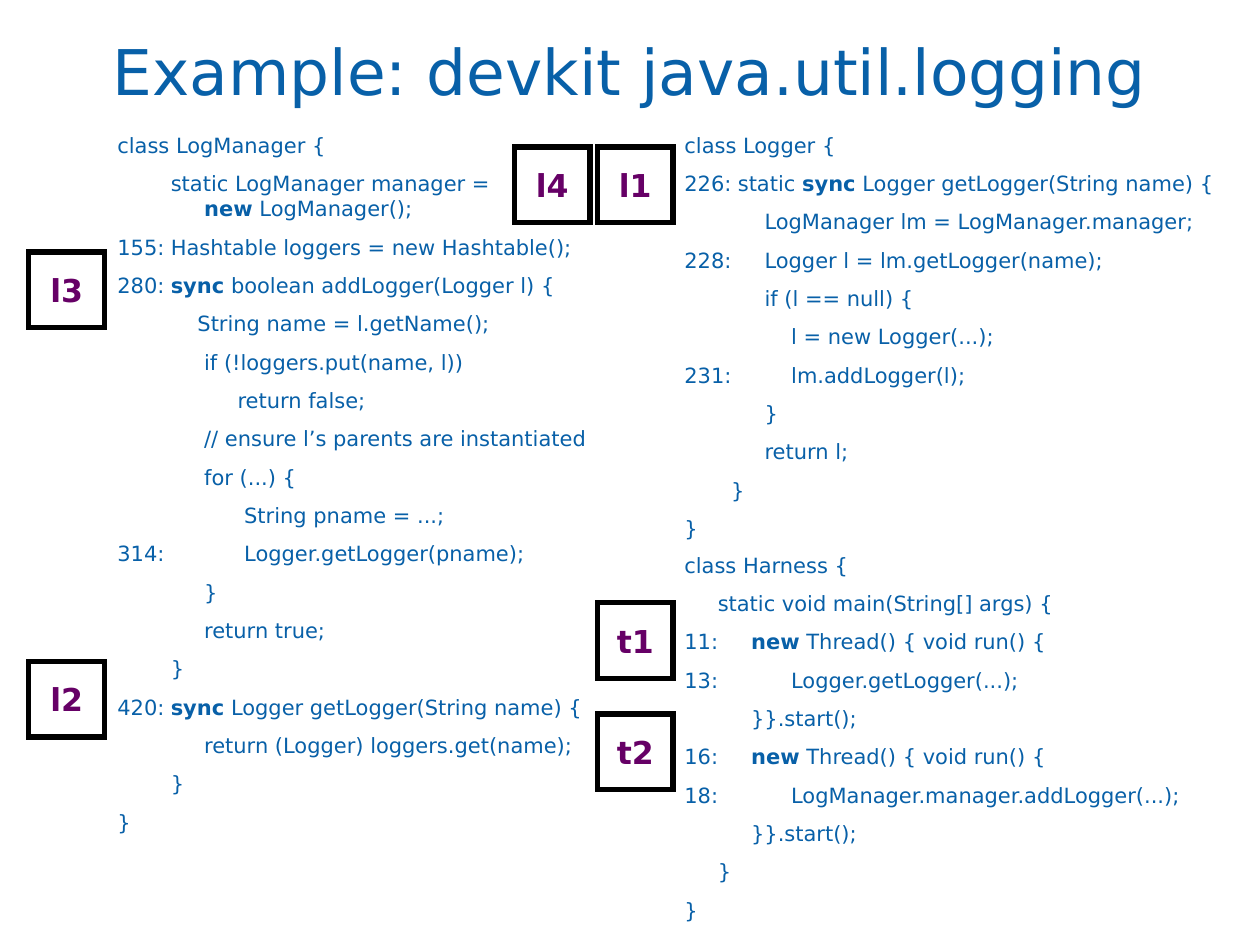
from lxml import etree
from pptx import Presentation
from pptx import util as u
from pptx.dml.color import RGBColor
from pptx.enum import shapes, text
from pptx.oxml.ns import qn

COLORS = {"code": "0860A8", "marker": "660066", "border": "000000"}
FONT = "DejaVu Sans"
CELL = u.Inches(1 / 12)
CHAR = u.Pt(3.815)
HANG = 5
MARKER = 7.2

LOG_MANAGER = [
    ("", 0, "class LogManager {"),
    ("", 8, "static LogManager manager =\n*new* LogManager();"),
    ("155:", 8, "Hashtable loggers = new Hashtable();"),
    ("280:", 8, "*sync* boolean addLogger(Logger l) {"),
    ("", 12, "String name = l.getName();"),
    ("", 13, "if (!loggers.put(name, l))"),
    ("", 18, "return false;"),
    ("", 13, "// ensure l’s parents are instantiated"),
    ("", 13, "for (...) {"),
    ("", 19, "String pname = ...;"),
    ("314:", 19, "Logger.getLogger(pname);"),
    ("", 13, "}"),
    ("", 13, "return true;"),
    ("", 8, "}"),
    ("420:", 8, "*sync* Logger getLogger(String name) {"),
    ("", 13, "return (Logger) loggers.get(name);"),
    ("", 8, "}"),
    ("", 0, "}"),
]
LOGGER = [
    ("", 0, "class Logger {"),
    ("226:", 8, "static *sync* Logger getLogger(String name) {"),
    ("", 12, "LogManager lm = LogManager.manager;"),
    ("228:", 12, "Logger l = lm.getLogger(name);"),
    ("", 12, "if (l == null) {"),
    ("", 16, "l = new Logger(...);"),
    ("231:", 16, "lm.addLogger(l);"),
    ("", 12, "}"),
    ("", 12, "return l;"),
    ("", 7, "}"),
    ("", 0, "}"),
]
HARNESS = [
    ("", 0, "class Harness {"),
    ("", 5, "static void main(String[] args) {"),
    ("11:", 10, "*new* Thread() { void run() {"),
    ("13:", 16, "Logger.getLogger(...);"),
    ("", 10, "}}.start();"),
    ("16:", 10, "*new* Thread() { void run() {"),
    ("18:", 16, "LogManager.manager.addLogger(...);"),
    ("", 10, "}}.start();"),
    ("", 5, "}"),
    ("", 0, "}"),
]
LISTINGS = [
    ((10, 12, 67, 68.2), LOG_MANAGER),
    ((64, 12, 74, 40.2), LOGGER),
    ((64, 52, 78, 36.5), HARNESS),
]
MARKERS = [
    ("t1", 56.9, 57.4), ("t2", 56.9, 68), ("l4", 49, 14),
    ("l2", 2.75, 63), ("l3", 2.75, 24), ("l1", 56.9, 14),
]


def cells(*counts):
    """Turn grid counts into lengths."""
    return [u.Emu(round(count * CELL)) for count in counts]


def style(paragraph, size, color, bold=None):
    """Give a paragraph its font."""
    font = paragraph.font
    font.name, font.size, font.bold = FONT, u.Pt(size), bold
    font.color.rgb = RGBColor.from_string(COLORS[color])


def place_title(slide, box, wording):
    """Place the title in its box."""
    title = slide.shapes.title
    title.left, title.top, title.width, title.height = cells(*box)
    frame = title.text_frame
    frame.text = wording
    frame.vertical_anchor = text.MSO_ANCHOR.MIDDLE
    frame.paragraphs[0].alignment = text.PP_ALIGN.CENTER
    style(frame.paragraphs[0], 36, "code")


def indent_line(paragraph, number, column):
    """Start the code at a column, after a tab if the line is numbered."""
    props = paragraph._p.get_or_add_pPr()
    if number:
        tabs = etree.SubElement(props, qn("a:tabLst"))
        etree.SubElement(tabs, qn("a:tab"), pos=str(round(column * CHAR)), algn="l")
    else:
        props.set("marL", str(round((column + HANG) * CHAR)))
        props.set("indent", str(round(-HANG * CHAR)))


def write_line(paragraph, number, column, code):
    """Write one line of code, with the words between asterisks in bold."""
    paragraph.space_before = u.Pt(7.5)
    indent_line(paragraph, number, column)
    style(paragraph, 12, "code")
    if number:
        code = f"{number}\t{code}"
    for row, line in enumerate(code.split("\n")):
        if row:
            paragraph.add_line_break()
        for index, part in enumerate(line.split("*")):
            if part:
                run = paragraph.add_run()
                run.text = part
                if index % 2:
                    run.font.bold = True


def place_listing(slide, box, lines):
    """Place a code listing in its box."""
    frame = slide.shapes.add_textbox(*cells(*box)).text_frame
    frame.word_wrap = True
    for index, line in enumerate(lines):
        paragraph = frame.add_paragraph() if index else frame.paragraphs[0]
        write_line(paragraph, *line)


def place_marker(slide, label, column, row):
    """Place a square lock or thread marker with sharp corners."""
    marker = slide.shapes.add_shape(
        shapes.MSO_SHAPE.RECTANGLE, *cells(column, row, MARKER, MARKER))
    marker.shadow.inherit = False
    marker.fill.background()
    marker.line.color.rgb = RGBColor.from_string(COLORS["border"])
    marker.line.width = u.Pt(3)
    etree.SubElement(marker.line._get_or_add_ln(), qn("a:miter"), lim="800000")
    frame = marker.text_frame
    frame.text = label
    frame.word_wrap = False
    frame.vertical_anchor = text.MSO_ANCHOR.MIDDLE
    frame.paragraphs[0].alignment = text.PP_ALIGN.CENTER
    style(frame.paragraphs[0], 18, "marker", True)


def main():
    """Build the slide and save it."""
    deck = Presentation()
    deck.slide_width, deck.slide_height = cells(120, 90)
    slide = deck.slides.add_slide(deck.slide_layouts[5])
    place_title(slide, (6, 1, 108, 11.4), "Example: devkit java.util.logging")
    for box, lines in LISTINGS:
        place_listing(slide, box, lines)
    for marker in MARKERS:
        place_marker(slide, *marker)
    deck.save("out.pptx")


if __name__ == "__main__":
    main()
